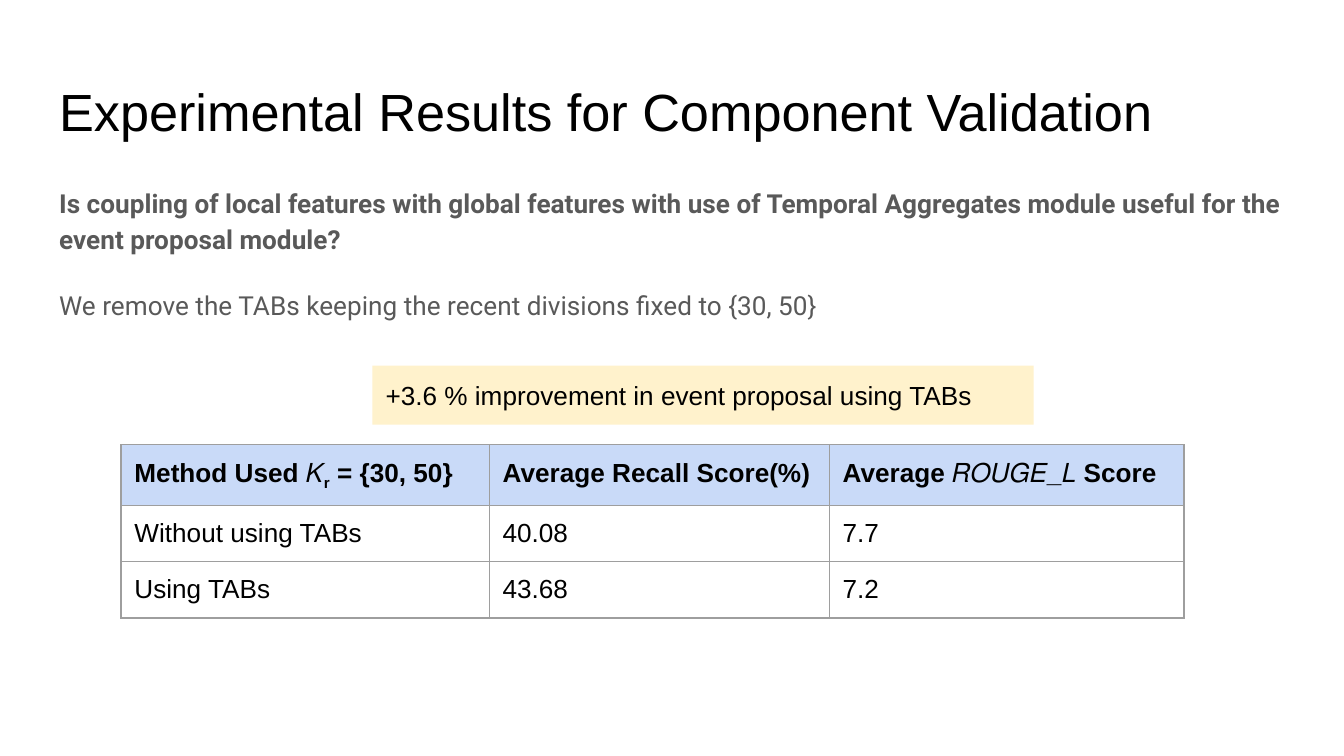
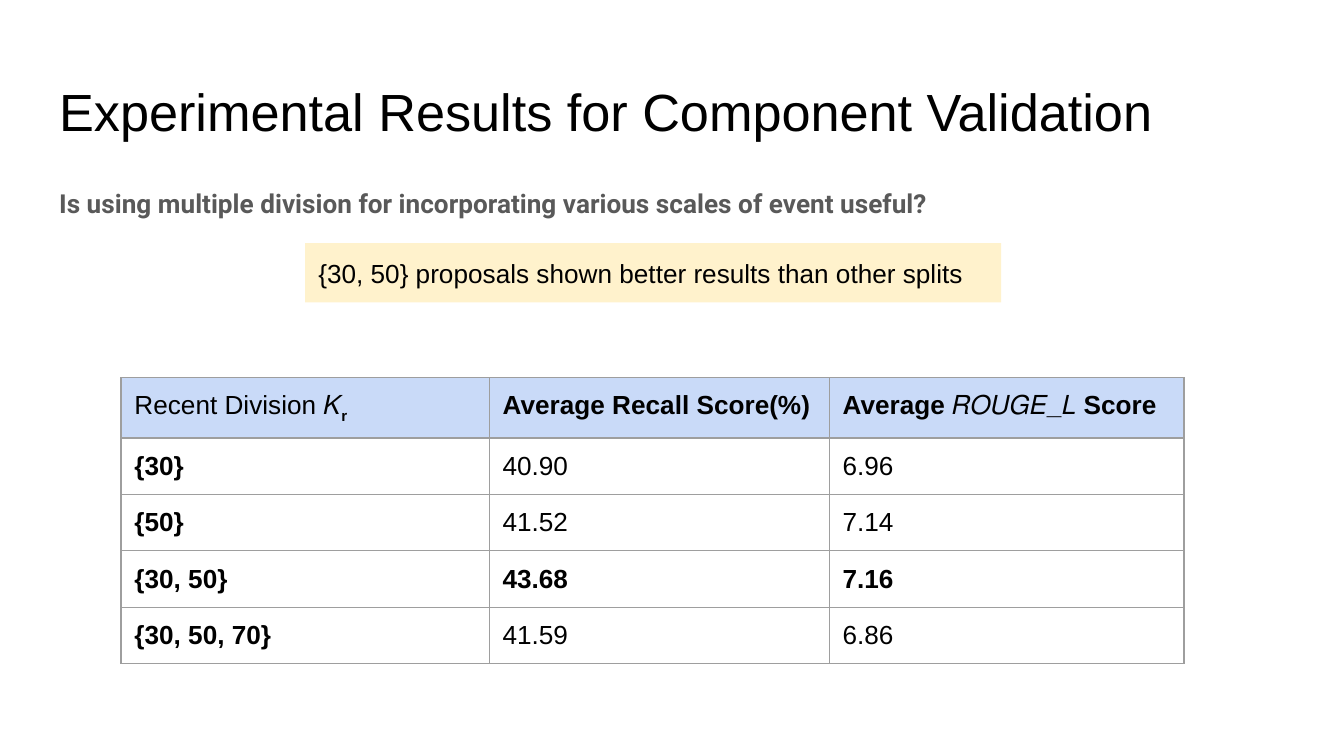
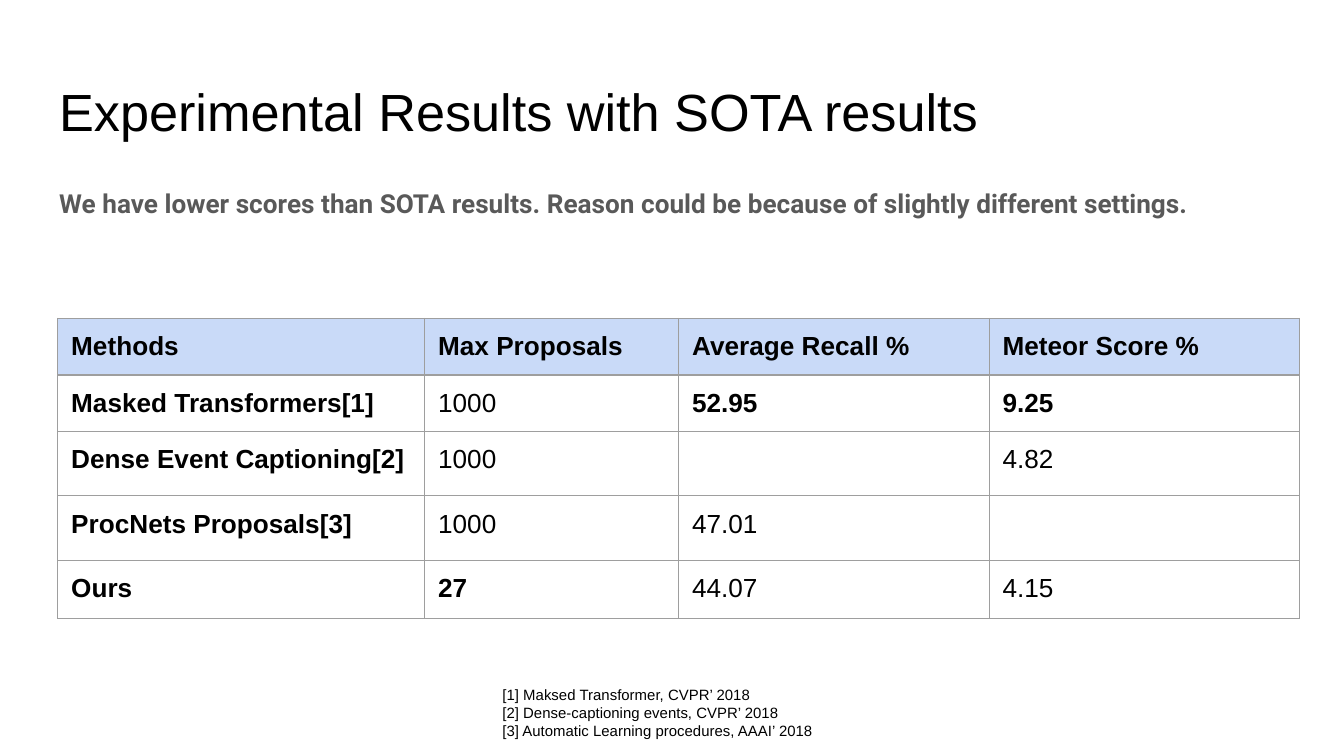
"""Build three slides of experimental results with python-pptx."""
from dataclasses import dataclass
from typing import Any, NamedTuple, Optional

import lxml.etree
import pptx
import pptx.dml.color
import pptx.enum.shapes
import pptx.enum.text
import pptx.oxml.ns
import pptx.util

Inches = pptx.util.Inches
Pt = pptx.util.Pt
qn = pptx.oxml.ns.qn

COLORS = {
    "text": "000000",
    "body": "595959",
    "header": "C9DAF8",
    "callout": "FFF2CC",
    "border": "9E9E9E",
}
FORMATS = {
    "title": {"name": "Arial", "size": Pt(28), "color": "text"},
    "body": {"name": "Roboto", "size": Pt(14), "color": "body"},
    "regular": {"name": "Arial", "size": Pt(14), "color": "text"},
    "reference": {"name": "Arial", "size": Pt(8), "color": "text"},
}
FRAME = {
    "margin_left": Inches(0.1),
    "margin_right": Inches(0.1),
    "margin_top": Inches(0.1),
    "margin_bottom": Inches(0.1),
}
SLIDE_WIDTH = Inches(10)
TOP = pptx.enum.text.MSO_ANCHOR.TOP
MIDDLE = pptx.enum.text.MSO_ANCHOR.MIDDLE


class Run(NamedTuple):
    text: str
    bold: bool = False
    subscript: bool = False


class Box(NamedTuple):
    left: float
    top: float
    width: float
    height: float


Line = tuple[Run, ...]


@dataclass(frozen=True)
class Callout:
    box: Box
    text: str


@dataclass(frozen=True)
class ResultTable:
    left: float
    top: float
    widths: tuple[float, ...]
    heights: tuple[float, ...]
    rows: tuple[tuple[Line, ...], ...]


@dataclass(frozen=True)
class ResultSlide:
    title: str
    body: tuple[Line, ...]
    body_height: float
    table: ResultTable
    callout: Optional[Callout] = None
    references: tuple[str, ...] = ()


def plain(text: str) -> Line:
    return (Run(text),)


def bold(text: str) -> Line:
    return (Run(text, True),)


TITLE_BOX = Box(0.34, 0.49, 9.32, 0.63)
REFERENCE_BOX = Box(3.64, 5, 5.83, 0.63)
COMPONENT_TITLE = "Experimental Results for Component Validation"
COMPONENT_WIDTHS = (2.74, 2.53, 2.64)
SCORE_HEADERS = (bold("Average Recall Score(%)"), bold("Average 𝑅𝑂𝑈𝐺𝐸_𝐿 Score"))
SUBSCRIPT_R = Run("r", True, True)

SLIDES = (
    ResultSlide(
        COMPONENT_TITLE,
        (
            bold("Is coupling of local features with global features with use of "
                 "Temporal Aggregates module useful for the event proposal module?"),
            plain("We remove the TABs keeping the recent divisions fixed to {30, 50}"),
        ),
        0.72,
        ResultTable(0.9, 3.31, COMPONENT_WIDTHS, (0.42,) * 3, (
            ((Run("Method Used 𝐾", True), SUBSCRIPT_R, Run(" = {30, 50}", True)),
             *SCORE_HEADERS),
            (plain("Without using TABs"), plain("40.08"), plain("7.7")),
            (plain("Using TABs"), plain("43.68"), plain("7.2")),
        )),
        Callout(Box(2.77, 2.72, 4.92, 0.44),
                "+3.6 % improvement in event proposal using TABs"),
    ),
    ResultSlide(
        COMPONENT_TITLE,
        (bold("Is using multiple division for incorporating various scales of "
              "event useful?"),),
        0.54,
        ResultTable(0.9, 2.81, COMPONENT_WIDTHS, (0.42,) * 5, (
            ((Run("Recent Division"), Run(" 𝐾", True), SUBSCRIPT_R), *SCORE_HEADERS),
            (bold("{30}"), plain("40.90"), plain("6.96")),
            (bold("{50}"), plain("41.52"), plain("7.14")),
            (bold("{30, 50}"), bold("43.68"), bold("7.16")),
            (bold("{30, 50, 70}"), plain("41.59"), plain("6.86")),
        )),
        Callout(Box(2.27, 1.81, 5.18, 0.44),
                "{30, 50} proposals shown better results than other splits"),
    ),
    ResultSlide(
        "Experimental Results with SOTA results",
        (bold("We have lower scores than SOTA results. Reason could be because of "
              "slightly different settings."),),
        0.44,
        ResultTable(0.43, 2.37, (2.73, 1.89, 2.31, 2.31), (0.42, 0.42, 0.43, 0.43, 0.43), (
            (bold("Methods"), bold("Max Proposals"), bold("Average Recall %"),
             bold("Meteor Score %")),
            (bold("Masked Transformers[1]"), plain("1000"), bold("52.95"), bold("9.25")),
            (bold("Dense Event Captioning[2]"), plain("1000"), (), plain("4.82")),
            (bold("ProcNets Proposals[3]"), plain("1000"), plain("47.01"), ()),
            (bold("Ours"), bold("27"), plain("44.07"), plain("4.15")),
        )),
        references=(
            "[1] Maksed Transformer, CVPR’ 2018",
            "[2] Dense-captioning events, CVPR’ 2018",
            "[3] Automatic Learning procedures, AAAI’ 2018",
        ),
    ),
)


def rgb(name: str) -> pptx.dml.color.RGBColor:
    return pptx.dml.color.RGBColor.from_string(COLORS[name])


def inches(box: Box) -> list[int]:
    return [Inches(value) for value in box]


def set_attributes(target: Any, values: dict[str, Any]) -> None:
    for name, value in values.items():
        if name == "color":
            target.color.rgb = rgb(value)
        else:
            setattr(target, name, value)


def write_line(paragraph: Any, line: Line, style: str) -> None:
    paragraph.alignment = pptx.enum.text.PP_ALIGN.LEFT
    for part in line:
        run = paragraph.add_run()
        run.text = part.text
        set_attributes(run.font, FORMATS[style] | {"bold": part.bold})
        if part.subscript:
            run._r.get_or_add_rPr().set("baseline", "-25000")
    if not line:
        ending = lxml.etree.SubElement(paragraph._p, qn("a:endParaRPr"), sz="1800")
        lxml.etree.SubElement(ending, qn("a:latin"), typeface=FORMATS[style]["name"])


def write_lines(shape: Any, lines: tuple[Line, ...], style: str, anchor: Any = TOP) -> None:
    frame = shape.text_frame
    set_attributes(frame, FRAME | {
        "word_wrap": True,
        "auto_size": pptx.enum.text.MSO_AUTO_SIZE.NONE,
        "vertical_anchor": anchor,
    })
    for index, line in enumerate(lines):
        paragraph = frame.add_paragraph() if index else frame.paragraphs[0]
        write_line(paragraph, line, style)


def place(shape: Any, box: Box) -> None:
    names = ("left", "top", "width", "height")
    set_attributes(shape, dict(zip(names, inches(box))))


def add_body(slide: Any, result: ResultSlide) -> None:
    body = slide.placeholders[1]
    place(body, Box(0.34, 1.26, 9.32, result.body_height))
    write_lines(body, result.body, "body")
    for index, paragraph in enumerate(body.text_frame.paragraphs):
        properties = paragraph._p.get_or_add_pPr()
        properties.set("marL", "0")
        properties.set("indent", "0")
        lxml.etree.SubElement(properties, qn("a:buNone"))
        set_attributes(paragraph, {
            "line_spacing": 1.15,
            "space_before": Pt(16 if index else 0),
            "space_after": Pt(16 if index == len(result.body) - 1 else 0),
        })


def add_borders(cell: Any) -> None:
    properties = cell._tc.get_or_add_tcPr()
    for side in ("lnL", "lnR", "lnT", "lnB"):
        line = lxml.etree.SubElement(properties, qn(f"a:{side}"), w=str(Pt(0.75)))
        fill = lxml.etree.SubElement(line, qn("a:solidFill"))
        lxml.etree.SubElement(fill, qn("a:srgbClr"), val=COLORS["border"])


def add_result_table(slide: Any, spec: ResultTable) -> None:
    box = Box(spec.left, spec.top, sum(spec.widths), sum(spec.heights))
    table = slide.shapes.add_table(len(spec.rows), len(spec.widths), *inches(box)).table
    set_attributes(table, {"first_row": False, "horz_banding": False})
    for column, width in zip(table.columns, spec.widths):
        column.width = Inches(width)
    for row, height in zip(table.rows, spec.heights):
        row.height = Inches(height)
    for row_index, lines in enumerate(spec.rows):
        for column_index, line in enumerate(lines):
            cell = table.cell(row_index, column_index)
            set_attributes(cell, FRAME | {"vertical_anchor": TOP})
            add_borders(cell)
            if row_index == 0:
                cell.fill.solid()
                cell.fill.fore_color.rgb = rgb("header")
            else:
                cell.fill.background()
            write_line(cell.text_frame.paragraphs[0], line, "regular")


def add_callout(slide: Any, callout: Callout) -> None:
    rectangle = pptx.enum.shapes.MSO_SHAPE.RECTANGLE
    shape = slide.shapes.add_shape(rectangle, *inches(callout.box))
    shape.shadow.inherit = False
    shape.fill.solid()
    shape.fill.fore_color.rgb = rgb("callout")
    shape.line.fill.background()
    write_lines(shape, (plain(callout.text),), "regular", MIDDLE)


def add_result_slide(presentation: Any, result: ResultSlide) -> None:
    slide = presentation.slides.add_slide(presentation.slide_layouts[1])
    place(slide.shapes.title, TITLE_BOX)
    write_lines(slide.shapes.title, (plain(result.title),), "title")
    add_body(slide, result)
    add_result_table(slide, result.table)
    if result.callout:
        add_callout(slide, result.callout)
    if result.references:
        textbox = slide.shapes.add_textbox(*inches(REFERENCE_BOX))
        write_lines(textbox, tuple(map(plain, result.references)), "reference")


def main() -> None:
    presentation = pptx.Presentation()
    set_attributes(presentation, {
        "slide_width": SLIDE_WIDTH,
        "slide_height": SLIDE_WIDTH * 9 // 16,
    })
    for result in SLIDES:
        add_result_slide(presentation, result)
    presentation.save("out.pptx")


if __name__ == "__main__":
    main()
